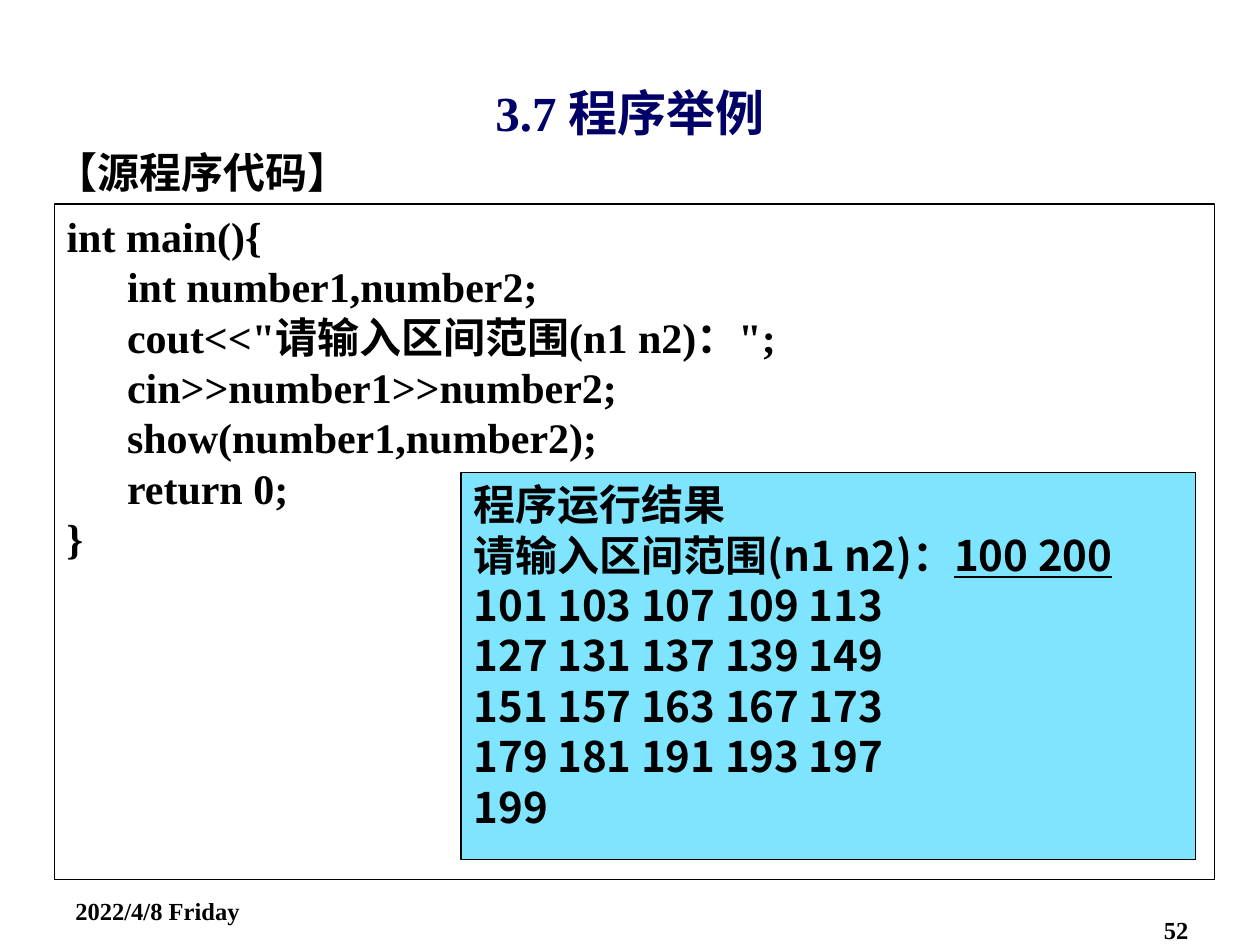
from lxml.etree import SubElement as Sub
from pptx import Presentation
from pptx.dml.color import RGBColor as RGB
from pptx.enum.shapes import MSO_SHAPE as SHAPE
from pptx.enum.text import MSO_ANCHOR as ANCHOR, PP_ALIGN as ALIGN
from pptx.oxml.ns import qn
from pptx.util import Inches, Pt

INK = {"text": "000000", "title": "000066", "panel": "00CCFF"}
SERIF, SANS = "Times New Roman", "Noto Sans CJK SC"
STEP, PITCH = 0.48, 28.8

TITLE = [(0, ["3.7 程序举例"])]
HEAD = [(0, ["【源程序代码】"])]
DATE = [(0, ["2022/4/8 Friday"])]
PAGE = [(0, ["52"])]
CODE = [
    (0, ["int main(){"]),
    (1, ["int number1,number2;"]),
    (1, ['cout<<"请输入区间范围(n1 n2)：";']),
    (1, ["cin>>number1>>number2;"]),
    (1, ["show(number1,number2);"]),
    (1, ["return 0;"]),
    (0, ["}"]),
]
RESULT = [
    (0, ["程序运行结果"]),
    (0, ["请输入区间范围(n1 n2)：", "100 200"]),
    (0, ["101 103 107 109 113"]),
    (0, ["127 131 137 139 149"]),
    (0, ["151 157 163 167 173"]),
    (0, ["179 181 191 193 197"]),
    (0, ["199"]),
]


def write(shape, lines, size, font=SERIF, ink="text", align=ALIGN.LEFT,
          anchor=ANCHOR.TOP, pitch=None):
    frame = shape.text_frame
    frame.word_wrap = True
    frame.vertical_anchor = anchor
    for row, (level, runs) in enumerate(lines):
        para = frame.add_paragraph() if row else frame.paragraphs[0]
        para.alignment = align
        para.line_spacing = pitch
        if level:
            props = para._p.get_or_add_pPr()
            props.set("marL", str(Inches(level * STEP)))
            props.set("indent", "0")
        for part, text in enumerate(runs):
            run = para.add_run()
            run.text = text
            face = run.font
            face.name, face.size, face.bold = font, Pt(size), True
            face.underline = part > 0
            face.color.rgb = RGB.from_string(INK[ink])
            Sub(face._element, qn("a:ea")).set("typeface", SANS)


def label(slide, box, lines, size, **style):
    shape = slide.shapes.add_textbox(*map(Inches, box))
    write(shape, lines, size, **style)


def panel(slide, box, lines, fill=None, **style):
    shape = slide.shapes.add_shape(SHAPE.RECTANGLE, *map(Inches, box))
    shape.shadow.inherit = False
    shape.line.color.rgb = RGB.from_string(INK["text"])
    shape.line.width = Pt(0.75)
    if fill:
        shape.fill.solid()
        shape.fill.fore_color.rgb = RGB.from_string(INK[fill])
        tone = shape._element.spPr.find(qn("a:solidFill"))[0]
        Sub(tone, qn("a:alpha")).set("val", "50000")
    else:
        shape.fill.background()
    write(shape, lines, 24, pitch=Pt(PITCH), **style)


def main():
    deck = Presentation()
    deck.slide_width, deck.slide_height = Inches(10), Inches(7.5)
    slide = deck.slides.add_slide(deck.slide_layouts[5])
    title = slide.shapes.title
    title.left, title.top, title.width, title.height = map(
        Inches, (0.5, 0.54, 9, 0.69))
    write(title, TITLE, 28, ink="title", align=ALIGN.CENTER,
          anchor=ANCHOR.MIDDLE)
    label(slide, (0.5, 7.06, 2.33, 0.29), DATE, 14)
    label(slide, (7.2, 7.21, 2.33, 0.29), PAGE, 14, align=ALIGN.RIGHT)
    label(slide, (0.34, 1.07, 9.3, 0.63), HEAD, 24, pitch=1.1)
    panel(slide, (0.43, 1.62, 9.21, 5.36), CODE)
    panel(slide, (3.66, 3.75, 5.83, 3.07), RESULT, fill="panel", font=SANS)
    deck.save("out.pptx")


if __name__ == "__main__":
    main()
